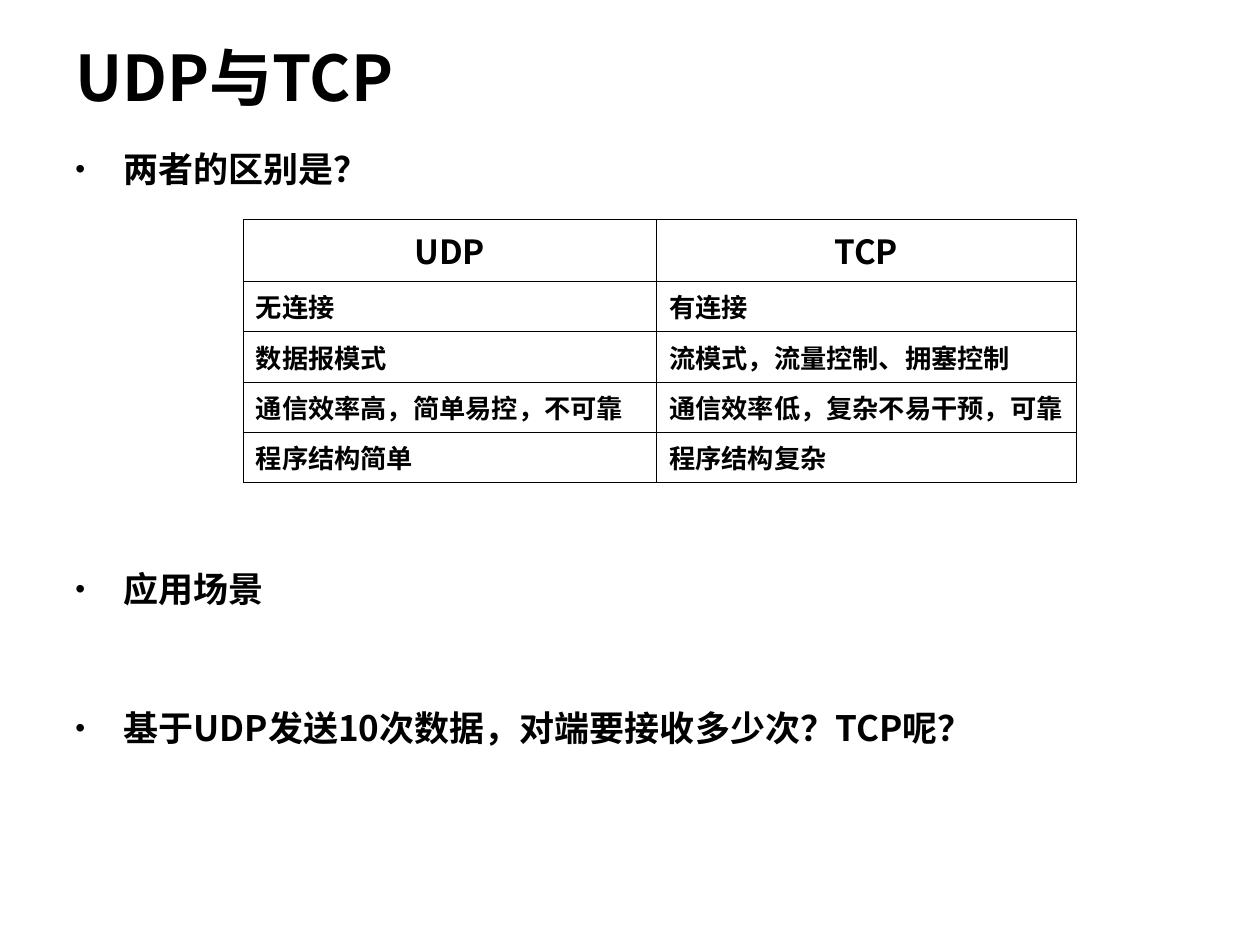
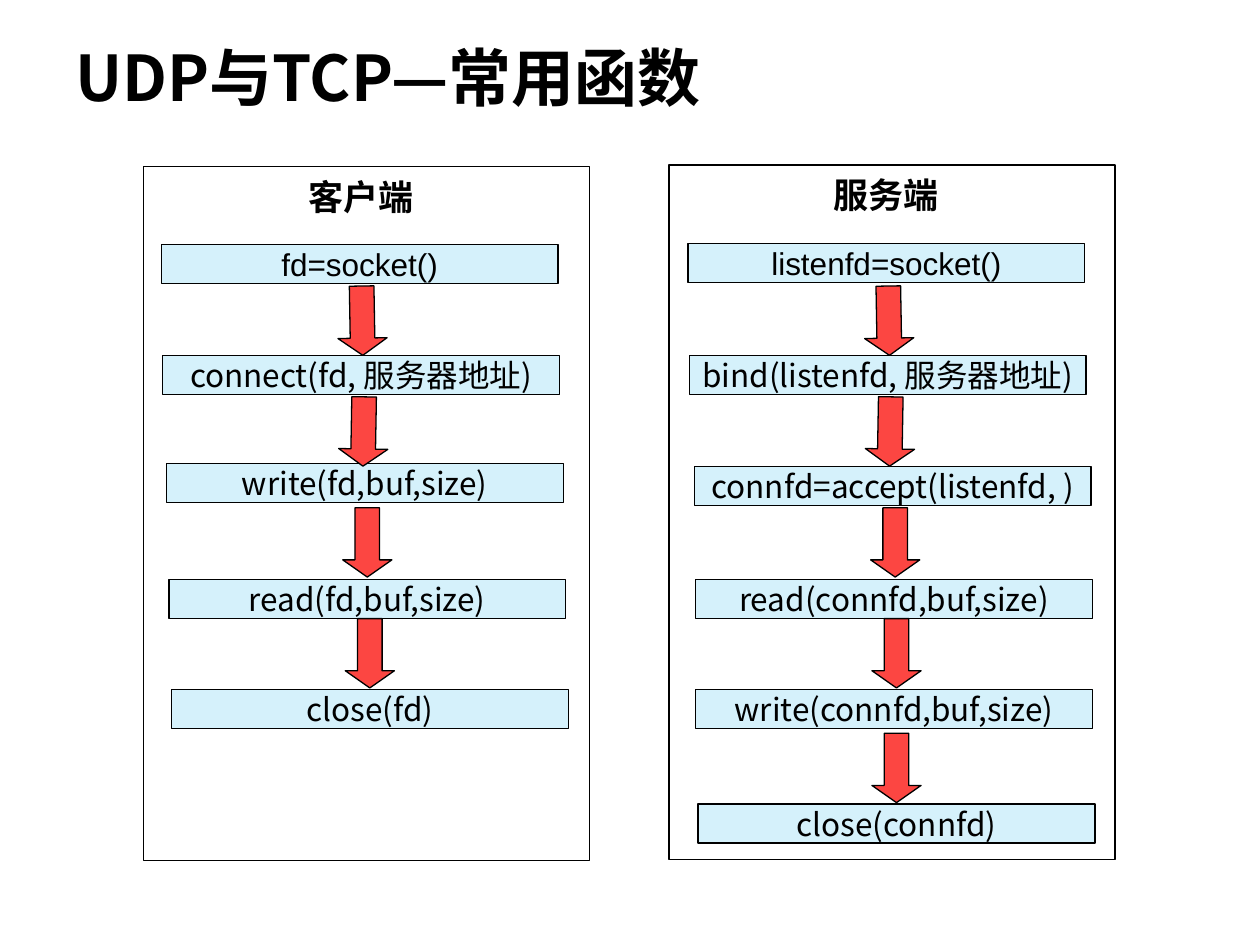
from dataclasses import dataclass

from lxml.etree import SubElement
from pptx import Presentation
from pptx.dml.color import RGBColor
from pptx.enum.shapes import MSO_SHAPE
from pptx.enum.text import MSO_ANCHOR, PP_ALIGN
from pptx.oxml.ns import qn
from pptx.slide import Slide
from pptx.table import _Cell
from pptx.text.text import TextFrame, _Paragraph
from pptx.util import Inches, Pt


# Shared look
@dataclass(frozen=True)
class Theme:
    ink: str = "000000"
    step_fill: str = "D5F1FB"
    arrow_fill: str = "FC4642"
    font: str = "Noto Sans CJK SC"
    latin_font: str = "Arial"
    title_size: float = 36
    body_size: float = 20
    step_size: float = 18
    header_size: float = 19
    cell_size: float = 15
    outline: float = 0.75
    grid_line: float = 0.23


THEME = Theme()


@dataclass(frozen=True)
class Bullet:
    text: str
    space_before: float = 0


@dataclass(frozen=True)
class Step:
    call: str
    left: float
    top: float
    font: str = THEME.font


@dataclass(frozen=True)
class Panel:
    label: str
    left: float
    top: float
    steps: tuple[Step, ...]


# Content
BULLETS = (
    Bullet("两者的区别是？"),
    Bullet("应用场景", 218),
    Bullet("基于UDP发送10次数据，对端要接收多少次？TCP呢？", 58),
)
COMPARISON = (
    ("UDP", "TCP"),
    ("无连接", "有连接"),
    ("数据报模式", "流模式，流量控制、拥塞控制"),
    ("通信效率高，简单易控，不可靠", "通信效率低，复杂不易干预，可靠"),
    ("程序结构简单", "程序结构复杂"),
)
COLUMN_WIDTHS = (3.28, 3.33)
HEADER_HEIGHT, ROW_HEIGHT = 0.49, 0.4

PANELS = (
    Panel("服务端", 5.31, 1.31, (
        Step("listenfd=socket()", 5.46, 1.93, THEME.latin_font),
        Step("bind(listenfd, 服务器地址)", 5.47, 2.82),
        Step("connfd=accept(listenfd, )", 5.51, 3.7),
        Step("read(connfd,buf,size)", 5.52, 4.6),
        Step("write(connfd,buf,size)", 5.52, 5.47),
        Step("close(connfd)", 5.54, 6.38),
    )),
    Panel("客户端", 1.14, 1.32, (
        Step("fd=socket()", 1.28, 1.94, THEME.latin_font),
        Step("connect(fd, 服务器地址)", 1.29, 2.82),
        Step("write(fd,buf,size)", 1.32, 3.68),
        Step("read(fd,buf,size)", 1.34, 4.6),
        Step("close(fd)", 1.36, 5.47),
    )),
)
ARROW_TOPS = (2.27, 3.15, 4.03, 4.91, 5.82)
ARROW_TILTS = (-1, 1, 0, 0, 0)
ARROW_INDENT = 1.4


def write_text(paragraph: _Paragraph, text: str, *, size: float,
               font: str = THEME.font, bold: bool = False,
               align: PP_ALIGN = PP_ALIGN.LEFT) -> None:
    paragraph.alignment = align
    run = paragraph.add_run()
    run.text = text
    run.font.size = Pt(size)
    run.font.bold = bold
    run.font.name = font
    run.font.color.rgb = RGBColor.from_string(THEME.ink)
    SubElement(run.font._element, qn("a:ea"), typeface=THEME.font)


def add_frame(slide: Slide, left: float, top: float, width: float, height: float,
              margins: tuple[float, float] = (0.1, 0.05)) -> TextFrame:
    frame = slide.shapes.add_textbox(
        Inches(left), Inches(top), Inches(width), Inches(height)).text_frame
    frame.word_wrap = True
    frame.margin_left = frame.margin_right = Inches(margins[0])
    frame.margin_top = frame.margin_bottom = Inches(margins[1])
    return frame


def add_title(slide: Slide, text: str) -> None:
    frame = add_frame(slide, 0.5, 0.21, 9, 0.79)
    frame.vertical_anchor = MSO_ANCHOR.MIDDLE
    write_text(frame.paragraphs[0], text, size=THEME.title_size, bold=True)


def add_block(slide: Slide, kind: MSO_SHAPE, left: float, top: float,
              width: float, height: float, fill: str | None = None):
    block = slide.shapes.add_shape(
        kind, Inches(left), Inches(top), Inches(width), Inches(height))
    block.shadow.inherit = False
    if fill:
        block.fill.solid()
        block.fill.fore_color.rgb = RGBColor.from_string(fill)
    else:
        block.fill.background()
    block.line.color.rgb = RGBColor.from_string(THEME.ink)
    block.line.width = Pt(THEME.outline)
    return block


# Comparison slide
def add_bullets(slide: Slide) -> None:
    frame = add_frame(slide, 0.5, 1.17, 9, 4.95, (0.1, 0.04))
    for index, bullet in enumerate(BULLETS):
        paragraph = frame.add_paragraph() if index else frame.paragraphs[0]
        properties = paragraph._p.get_or_add_pPr()
        properties.set("marL", str(Inches(0.38)))
        properties.set("indent", str(-Inches(0.38)))
        colour = SubElement(properties, qn("a:buClr"))
        SubElement(colour, qn("a:srgbClr"), val=THEME.ink)
        SubElement(properties, qn("a:buSzPct"), val="80000")
        SubElement(properties, qn("a:buFont"), typeface=THEME.latin_font)
        SubElement(properties, qn("a:buChar"), char="•")
        paragraph.line_spacing = 0.9
        if bullet.space_before:
            paragraph.space_before = Pt(bullet.space_before)
        write_text(paragraph, bullet.text, size=THEME.body_size, bold=True)


def outline_cell(cell: _Cell) -> None:
    properties = cell._tc.get_or_add_tcPr()
    for position, side in enumerate(("lnL", "lnR", "lnT", "lnB")):
        border = SubElement(properties, qn(f"a:{side}"), w=str(Pt(THEME.grid_line)))
        fill = SubElement(border, qn("a:solidFill"))
        SubElement(fill, qn("a:srgbClr"), val=THEME.ink)
        properties.insert(position, border)


def add_comparison(slide: Slide) -> None:
    body_rows = len(COMPARISON) - 1
    table = slide.shapes.add_table(
        len(COMPARISON), len(COLUMN_WIDTHS), Inches(1.93), Inches(1.74),
        Inches(sum(COLUMN_WIDTHS)),
        Inches(HEADER_HEIGHT + body_rows * ROW_HEIGHT)).table
    table.first_row = table.horz_banding = False
    for column, width in zip(table.columns, COLUMN_WIDTHS):
        column.width = Inches(width)
    for row_index, texts in enumerate(COMPARISON):
        header = row_index == 0
        table.rows[row_index].height = Inches(HEADER_HEIGHT if header else ROW_HEIGHT)
        for column_index, text in enumerate(texts):
            cell = table.cell(row_index, column_index)
            cell.fill.background()
            cell.vertical_anchor = MSO_ANCHOR.MIDDLE
            outline_cell(cell)
            write_text(cell.text_frame.paragraphs[0], text, bold=True,
                       size=THEME.header_size if header else THEME.cell_size,
                       align=PP_ALIGN.CENTER if header else PP_ALIGN.LEFT)


# Function-call slide
def add_step(slide: Slide, step: Step) -> None:
    block = add_block(slide, MSO_SHAPE.RECTANGLE, step.left, step.top,
                      3.15, 0.31, THEME.step_fill)
    frame = block.text_frame
    frame.word_wrap = False
    frame.vertical_anchor = MSO_ANCHOR.MIDDLE
    write_text(frame.paragraphs[0], step.call, size=THEME.step_size,
               font=step.font, align=PP_ALIGN.CENTER)


def add_panel(slide: Slide, panel: Panel) -> None:
    add_block(slide, MSO_SHAPE.RECTANGLE, panel.left, panel.top, 3.54, 5.51)
    label = add_frame(slide, panel.left + 0.93, panel.top + 0.02, 1.59, 0.44)
    write_text(label.paragraphs[0], panel.label, size=THEME.body_size,
               font=THEME.latin_font, bold=True, align=PP_ALIGN.CENTER)
    for step in panel.steps:
        add_step(slide, step)
    # One arrow leaves every step but the last
    for step, top, tilt in zip(panel.steps[:-1], ARROW_TOPS, ARROW_TILTS):
        arrow = add_block(slide, MSO_SHAPE.DOWN_ARROW, step.left + ARROW_INDENT,
                          top, 0.39, 0.55, THEME.arrow_fill)
        arrow.adjustments[0] = 0.5
        arrow.adjustments[1] = 0.35
        arrow.rotation = tilt


def main() -> None:
    deck = Presentation()
    deck.slide_width, deck.slide_height = Inches(10), Inches(7.5)
    blank = deck.slide_layouts[6]

    comparison = deck.slides.add_slide(blank)
    add_title(comparison, "UDP与TCP")
    add_bullets(comparison)
    add_comparison(comparison)

    functions = deck.slides.add_slide(blank)
    add_title(functions, "UDP与TCP—常用函数")
    for panel in PANELS:
        add_panel(functions, panel)

    deck.save("out.pptx")


if __name__ == "__main__":
    main()
